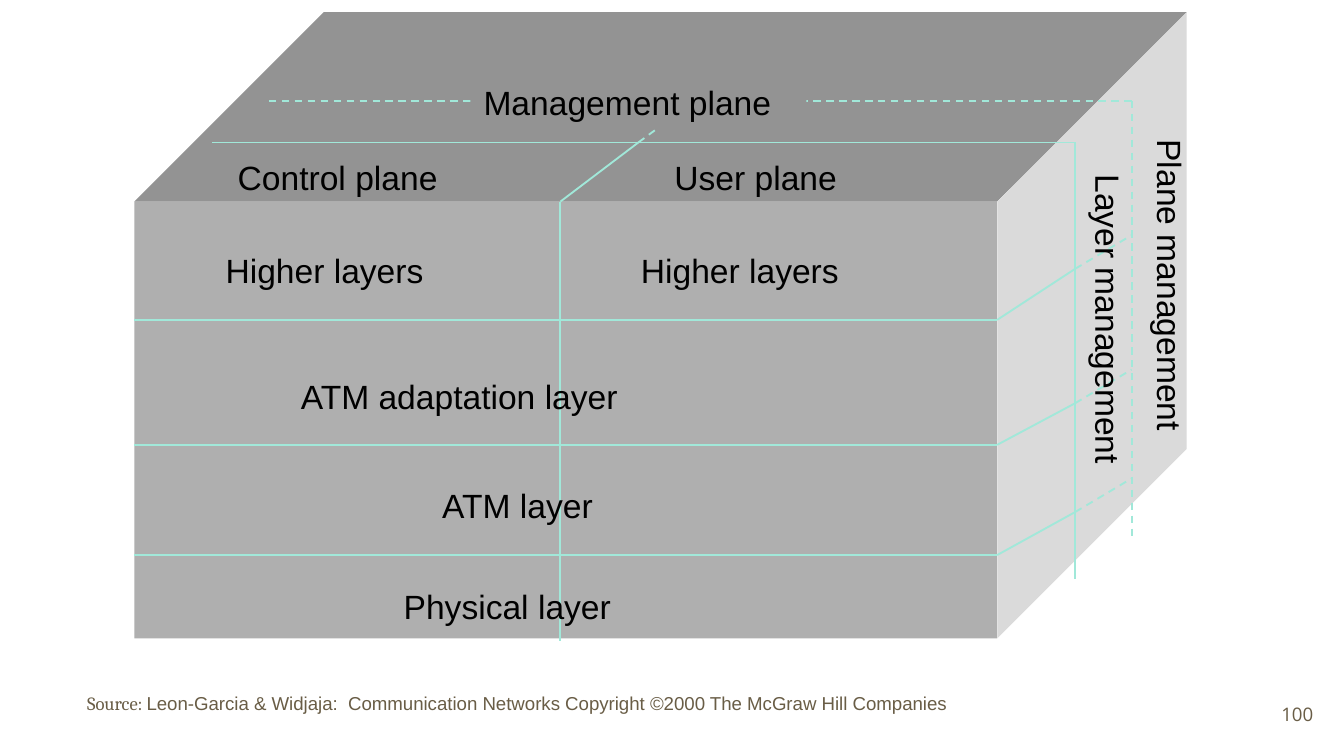
import pptx
import pptx.util
import pptx.dml.color
import pptx.enum.dml
import pptx.enum.shapes
import pptx.enum.text
import pptx.oxml.ns
from lxml import etree

Inches = pptx.util.Inches
ALIGN = pptx.enum.text.PP_ALIGN
COLORS = {"front": "AFAFAF", "top": "939393", "side": "DADADA",
          "line": "A1E8D9", "text": "000000", "footer": "695D46"}

# Block geometry: front face, and the offset to the back edge
LEFT, TOP, RIGHT, BOTTOM, DEPTH = 1, 1.5, 7.42, 4.75, 1.41
# Planes behind the front face: x and y offset, height of the right edge
LAYER_DX, LAYER_DY = 0.58, 0.44
PLANE_DX, PLANE_DY = 1, 0.75
SIDE_H = 3.25
SPLIT = 4.17

# Layer boundaries: y on the front face, y at the layer management line
BOUNDARIES = [(2.38, 2), (3.31, 3), (4.13, 3.81)]

# Text, left, top, width, format
LABELS = [
    ("Control plane", 1.67, 1.12, 2.42, {}),
    ("User plane", 4.92, 1.12, 2, {}),
    ("Higher layers", 1.58, 1.81, 1.92, {}),
    ("Higher layers", 4.67, 1.81, 1.92, {}),
    ("ATM adaptation layer", 2.14, 2.75, 3.25, {}),
    ("ATM layer", 2.14, 3.56, 3.42, {"align": ALIGN.CENTER}),
    ("Physical layer", 2.11, 4.31, 3.33, {"align": ALIGN.CENTER}),
    ("Management plane", 3.5, 0.56, 2.5, {"fill": "top"}),
    ("Layer management", 7.95, 1.2, 0.5, {"height": 2.81, "vert": "eaVert"}),
    ("Plane management", 8.41, 0.94, 0.5, {"height": 2.81, "vert": "eaVert"}),
]
SOURCE = [("Source: ", "Cambria"),
          ("Leon-Garcia & Widjaja:  Communication Networks Copyright ©2000 "
           "The McGraw Hill Companies", "Arial")]

# 16:9 slide
prs = pptx.Presentation()
prs.slide_width = Inches(10)
prs.slide_height = Inches(10) * 9 // 16
s = prs.slides.add_slide(prs.slide_layouts[6])


def rgb(name):
    return pptx.dml.color.RGBColor.from_string(COLORS[name])


def add_text(text, x, y, w, height=0.4, size=18, font="Arial", color="text",
             align=ALIGN.LEFT, fill=None, vert=None, middle=False):
    """Add a text box; text is a string or a list of (text, font) runs."""
    sp = s.shapes.add_textbox(Inches(x), Inches(y), Inches(w), Inches(height))
    if fill:
        sp.fill.solid()
        sp.fill.fore_color.rgb = rgb(fill)
    tf = sp.text_frame
    tf.word_wrap = True
    if middle:
        tf.vertical_anchor = pptx.enum.text.MSO_ANCHOR.MIDDLE
    if vert:
        tf._txBody.bodyPr.set("vert", vert)
    p = tf.paragraphs[0]
    p.alignment = align
    for part, face in [(text, font)] if isinstance(text, str) else text:
        r = p.add_run()
        r.text = part
        r.font.name, r.font.size = face, pptx.util.Pt(size)
        r.font.color.rgb = rgb(color)


def paint(sp, color):
    sp.shadow.inherit = False
    sp.fill.solid()
    sp.fill.fore_color.rgb = rgb(color)
    sp.line.fill.background()


def add_face(points, color):
    pts = [(Inches(x), Inches(y)) for x, y in points]
    fb = s.shapes.build_freeform(*pts[0])
    fb.add_line_segments(pts[1:], close=True)
    paint(fb.convert_to_shape(), color)


def add_line(x1, y1, x2, y2, dash=False):
    c = s.shapes.add_connector(pptx.enum.shapes.MSO_CONNECTOR.STRAIGHT,
                               Inches(x1), Inches(y1), Inches(x2), Inches(y2))
    c.line.color.rgb = rgb("line")
    c.line.width = pptx.util.Pt(1)
    if dash:
        c.line.dash_style = pptx.enum.dml.MSO_LINE.DASH
    etree.SubElement(c._element.spPr, pptx.oxml.ns.qn("a:effectLst"))


# Block faces
paint(s.shapes.add_shape(pptx.enum.shapes.MSO_SHAPE.RECTANGLE,
                         Inches(LEFT), Inches(TOP), Inches(RIGHT - LEFT),
                         Inches(BOTTOM - TOP)), "front")
back_right, back_top = RIGHT + DEPTH, TOP - DEPTH
add_face([(LEFT, TOP), (LEFT + DEPTH, back_top), (back_right, back_top),
          (RIGHT, TOP)], "top")
add_face([(RIGHT, TOP), (back_right, back_top), (back_right, BOTTOM - DEPTH),
          (RIGHT, BOTTOM)], "side")

# Management planes: across the top and down the side
for dx, dy, dash in [(LAYER_DX, LAYER_DY, False), (PLANE_DX, PLANE_DY, True)]:
    y = TOP - dy
    add_line(LEFT + dx, y, RIGHT + dx, y, dash)
    add_line(RIGHT + dx, y, RIGHT + dx, y + SIDE_H, dash)

# Split between control plane and user plane
add_line(SPLIT, TOP, SPLIT, 4.77)
add_line(SPLIT, TOP, SPLIT + LAYER_DX, TOP - LAYER_DY)
add_line(SPLIT + LAYER_DX, TOP - LAYER_DY, SPLIT + PLANE_DX, TOP - PLANE_DY, True)

# Layer boundaries: front face, then along the side
for y, side_y in BOUNDARIES:
    add_line(LEFT, y, RIGHT, y)
    add_line(RIGHT, y, RIGHT + LAYER_DX, side_y)
    add_line(RIGHT + LAYER_DX, side_y, RIGHT + PLANE_DX, side_y - 0.25, True)

# Labels
for text, x, y, w, fmt in LABELS:
    add_text(text, x, y, w, **fmt)

# Source line and page number
add_text(SOURCE, 0.55, 5.1, 8.87, height=0.44, size=10, color="footer")
add_text("100", 9.27, 5.1, 0.6, height=0.43, size=10, font="Open Sans",
         color="footer", align=ALIGN.RIGHT, middle=True)

prs.save("out.pptx")
